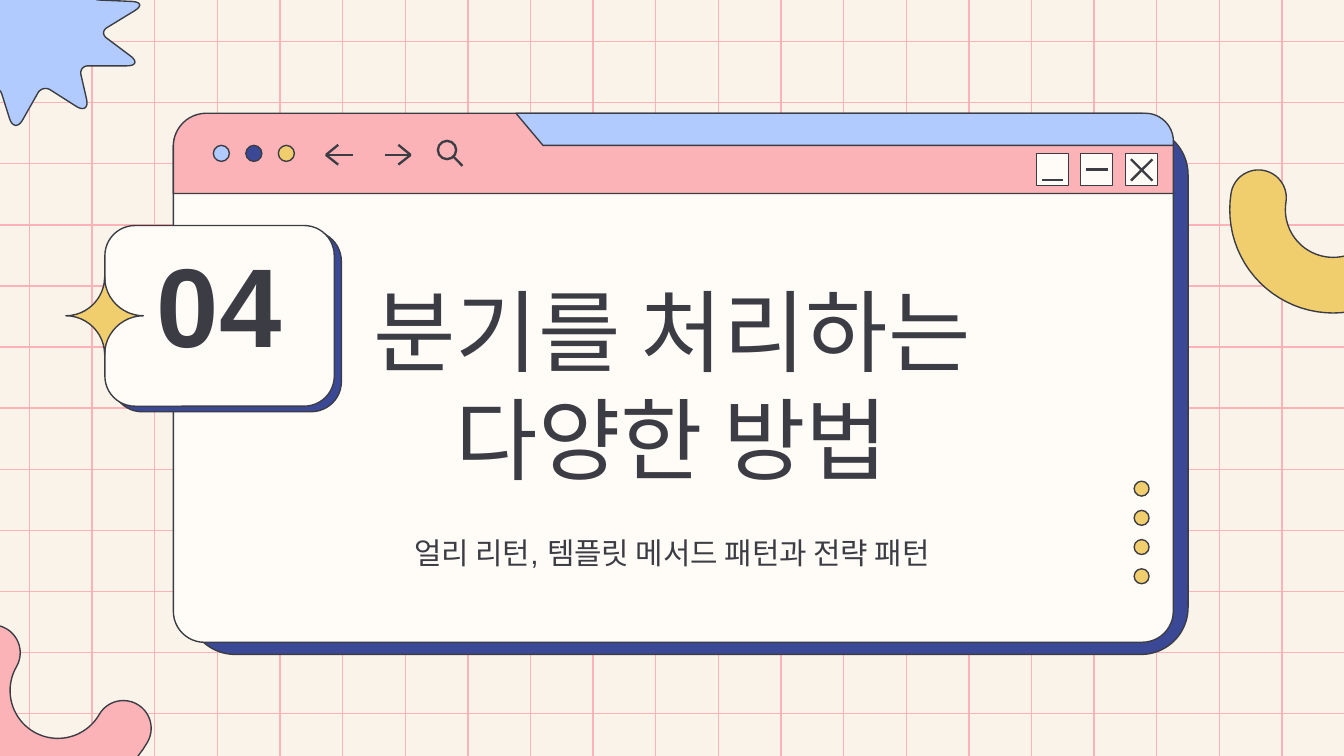
import math

import lxml.etree
import pptx
import pptx.dml.color
import pptx.enum.shapes
import pptx.enum.text
import pptx.oxml.ns
import pptx.util

Pt = pptx.util.Pt
KIND = pptx.enum.shapes.MSO_SHAPE
ANCHOR = pptx.enum.text.MSO_ANCHOR

# Content
HEADING = "분기를 처리하는\n다양한 방법"
TOPICS = "얼리 리턴, 템플릿 메서드 패턴과 전략 패턴"
CHAPTER = "04"
FONT = "Arial"

COLORS = {"paper": "F9F3EA", "card": "FFFCF7", "ink": "3C3D44", "pink": "FCB3B7",
          "blue": "B1CBFF", "navy": "3A4896", "gold": "F1CE6D"}

# Geometry, in points
WIDTH, HEIGHT = 720, 405
GRID_COLUMNS = (15.8, 33.55, 21)  # first, pitch, count
GRID_ROWS = (22.3, 32.73, 12)
HOOKS = [((714.2, 112.3), 9, "gold"), ((31, 370), 30, "pink")]  # centre, tilt, colour
HOOK_RADIUS, HOOK_CAP = 40.5, 14.9

BURST_CENTER = (15.5, 17)
BURST_HALF = [(7.8, 72), (22.8, 45.5), (48.4, 61.8), (42.3, 35.3), (77, 35.3),
              (53.1, 17.4), (79.7, 1.2), (47.9, -0.2), (61.9, -28.1), (31.5, -11.6)]
TAB = [(276.4, 60.7, 0), (290.9, 77.9, 0), (628.6, 77.9, 0), (628.6, 60.7, 15)]
SPARKLE_CENTER, SPARKLE_REACH = (56.1, 169.2), 20.8

CARDS = {  # left, top, width, height, corner, colour
    "window": [(100.8, 68.4, 535.7, 282.2, 0.089, "navy"),
               (92.9, 61.9, 535.7, 282.2, 0.059, "card")],
    "badge": [(60, 123.8, 122.9, 96.8, 0.167, "navy"),
              (56.2, 120.8, 122.9, 96.8, 0.167, "card")],
}
DOTS = [(114.3 + 17.4 * i, 77.9, 8.6, color)
        for i, color in enumerate(("blue", "navy", "gold"))]
DOTS += [(607.6, 257.8 + 15.65 * i, 8, "gold") for i in range(4)]
BUTTONS = [555.2, 578.9, 602.9]
BUTTON_TOP, BUTTON_SIZE = 82.2, 17.3
STROKES = [
    (174.6, 83, 189, 83), (174.6, 83, 181.2, 77.6), (174.6, 83, 181.2, 88.2),  # back
    (206.3, 83, 220, 83), (220, 83, 213.4, 77.6), (220, 83, 213.4, 88.2),  # forward
    (242.8, 83.8, 247.8, 88.9),  # search handle
    (558.2, 96.4, 569.7, 96.4), (581.9, 90.8, 593.4, 90.8),  # minimise, restore
    (605.9, 85.3, 617.4, 96.8), (605.9, 96.8, 617.4, 85.3),  # close
]


def rgb(name):
    return pptx.dml.color.RGBColor.from_string(COLORS[name])


def paint(shape, fill, line="ink", weight=0.75):
    shape.shadow.inherit = False
    if fill:
        shape.fill.solid()
        shape.fill.fore_color.rgb = rgb(fill)
    else:
        shape.fill.background()
    shape.line.color.rgb = rgb(line)
    shape.line.width = Pt(weight)


def add_preset(kind, left, top, width, height, fill, weight=0.75):
    shape = slide.shapes.add_shape(kind, Pt(left), Pt(top), Pt(width), Pt(height))
    paint(shape, fill, weight=weight)
    return shape


def add_stroke(x1, y1, x2, y2, color, weight):
    stroke = slide.shapes.add_connector(pptx.enum.shapes.MSO_CONNECTOR.STRAIGHT,
                                        Pt(x1), Pt(y1), Pt(x2), Pt(y2))
    stroke.line.color.rgb = rgb(color)
    stroke.line.width = Pt(weight)
    lxml.etree.SubElement(stroke._element.spPr, pptx.oxml.ns.qn("a:effectLst"))


def add_outline(points, fill):
    corners = [(Pt(x), Pt(y)) for x, y in points]
    builder = slide.shapes.build_freeform(*corners[0], scale=1.0)
    builder.add_line_segments(corners[1:], close=True)
    paint(builder.convert_to_shape(), fill)


def add_cards(name):
    for *box, corner, fill in CARDS[name]:
        add_preset(KIND.ROUNDED_RECTANGLE, *box, fill).adjustments[0] = corner


def toward(start, end, share):
    return tuple(a + (b - a) * share for a, b in zip(start, end))


def curve(p0, p1, p2, p3, steps=12):
    for i in range(steps + 1):
        t = i / steps
        yield tuple((1 - t) ** 3 * a + 3 * t * (1 - t) ** 2 * b
                    + 3 * t * t * (1 - t) * c + t ** 3 * d
                    for a, b, c, d in zip(p0, p1, p2, p3))


def arc(center, radius, start, sweep, steps=40):
    for i in range(steps + 1):
        angle = math.radians(start + sweep * i / steps)
        yield (center[0] + radius * math.cos(angle), center[1] + radius * math.sin(angle))


def rounded(corners):
    """Outline of a polygon whose corners (x, y, trim) are rounded off."""
    points = []
    for i, (x, y, trim) in enumerate(corners):
        corner = (x, y)
        if not trim:
            points.append(corner)
            continue
        before, after = (toward(corner, near[:2], trim / math.dist(corner, near[:2]))
                         for near in (corners[i - 1], corners[(i + 1) % len(corners)]))
        points += curve(before, toward(before, corner, 0.55),
                        toward(after, corner, 0.55), after)
    return points


def hook(center, tilt):
    ends = [next(arc(center, HOOK_RADIUS, tilt + turn, 0)) for turn in (0, 180)]
    return [*arc(center, HOOK_RADIUS + HOOK_CAP, tilt, 180),
            *arc(ends[1], HOOK_CAP, tilt + 180, 180),
            *arc(center, HOOK_RADIUS - HOOK_CAP, tilt + 180, -180),
            *arc(ends[0], HOOK_CAP, tilt + 180, 180)]


def write(box, text, left, top, width, height, size, anchor, spacing=1.0, bold=False):
    box.left, box.top, box.width, box.height = map(Pt, (left, top, width, height))
    frame = box.text_frame
    frame.text = text
    frame.word_wrap = True
    frame.auto_size = pptx.enum.text.MSO_AUTO_SIZE.NONE
    frame.vertical_anchor = anchor
    frame.margin_left = frame.margin_right = Pt(7.2)
    frame.margin_top = frame.margin_bottom = Pt(7.2)
    for paragraph in frame.paragraphs:
        paragraph.alignment = pptx.enum.text.PP_ALIGN.CENTER
        paragraph.line_spacing = spacing
        paragraph.space_before = Pt(0)
        for run in paragraph.runs:
            run.font.name, run.font.size, run.font.bold = FONT, Pt(size), bold
            run.font.color.rgb = rgb("ink")


deck = pptx.Presentation()
deck.slide_width, deck.slide_height = Pt(WIDTH), Pt(HEIGHT)
slide = deck.slides.add_slide(deck.slide_layouts[0])
slide.background.fill.solid()
slide.background.fill.fore_color.rgb = rgb("paper")
heading, topics = slide.placeholders

# Background grid
first, pitch, count = GRID_COLUMNS
for i in range(count):
    add_stroke(first + i * pitch, 0, first + i * pitch, HEIGHT, "pink", 0.75)
first, pitch, count = GRID_ROWS
for i in range(count):
    add_stroke(0, first + i * pitch, WIDTH, first + i * pitch, "pink", 0.75)

# Corner decorations: the second half of the burst is the first turned by 180°
for center, tilt, fill in HOOKS:
    add_outline(hook(center, tilt), fill)
burst = BURST_HALF + [(2 * BURST_CENTER[0] - x, 2 * BURST_CENTER[1] - y)
                      for x, y in BURST_HALF]
add_outline(rounded([(x, y, 5 if i % 2 else 9) for i, (x, y) in enumerate(burst)]), "blue")

# Browser window
add_cards("window")
toolbar = add_preset(KIND.ROUND_2_SAME_RECTANGLE, 92.9, 60.7, 535.7, 43, "pink")
toolbar.adjustments[0] = 0.41
add_outline(rounded(TAB), "blue")
for left, top, size, fill in DOTS:
    add_preset(KIND.OVAL, left, top, size, size, fill)
for left in BUTTONS:
    add_preset(KIND.RECTANGLE, left, BUTTON_TOP, BUTTON_SIZE, BUTTON_SIZE, "card")
add_preset(KIND.OVAL, 234.6, 75.5, 9.8, 9.8, None, 1.25)
for stroke in STROKES:
    add_stroke(*stroke, "ink", 1.25)

# Heading and topics, brought in front of the window
for box in (heading, topics):
    slide.shapes._spTree.append(box._element)
write(heading, HEADING, 160.6, 146.2, 398.9, 118.8, 48, ANCHOR.MIDDLE)
write(topics, TOPICS, 160.6, 276.5, 398.9, 29.5, 16, ANCHOR.TOP, spacing=1.15)

# Chapter badge
add_cards("badge")
chapter = slide.shapes.add_textbox(0, 0, 0, 0)
write(chapter, CHAPTER, 58.3, 133.2, 118.1, 72, 60, ANCHOR.BOTTOM, bold=True)
tips = [next(arc(SPARKLE_CENTER, SPARKLE_REACH, turn, 0)) for turn in (0, 90, 180, 270)]
sparkle = []
for i, tip in enumerate(tips):
    sparkle += curve(tips[i - 1], toward(tips[i - 1], SPARKLE_CENTER, 0.55),
                     toward(tip, SPARKLE_CENTER, 0.55), tip)
add_outline(sparkle, "gold")

deck.save("out.pptx")
